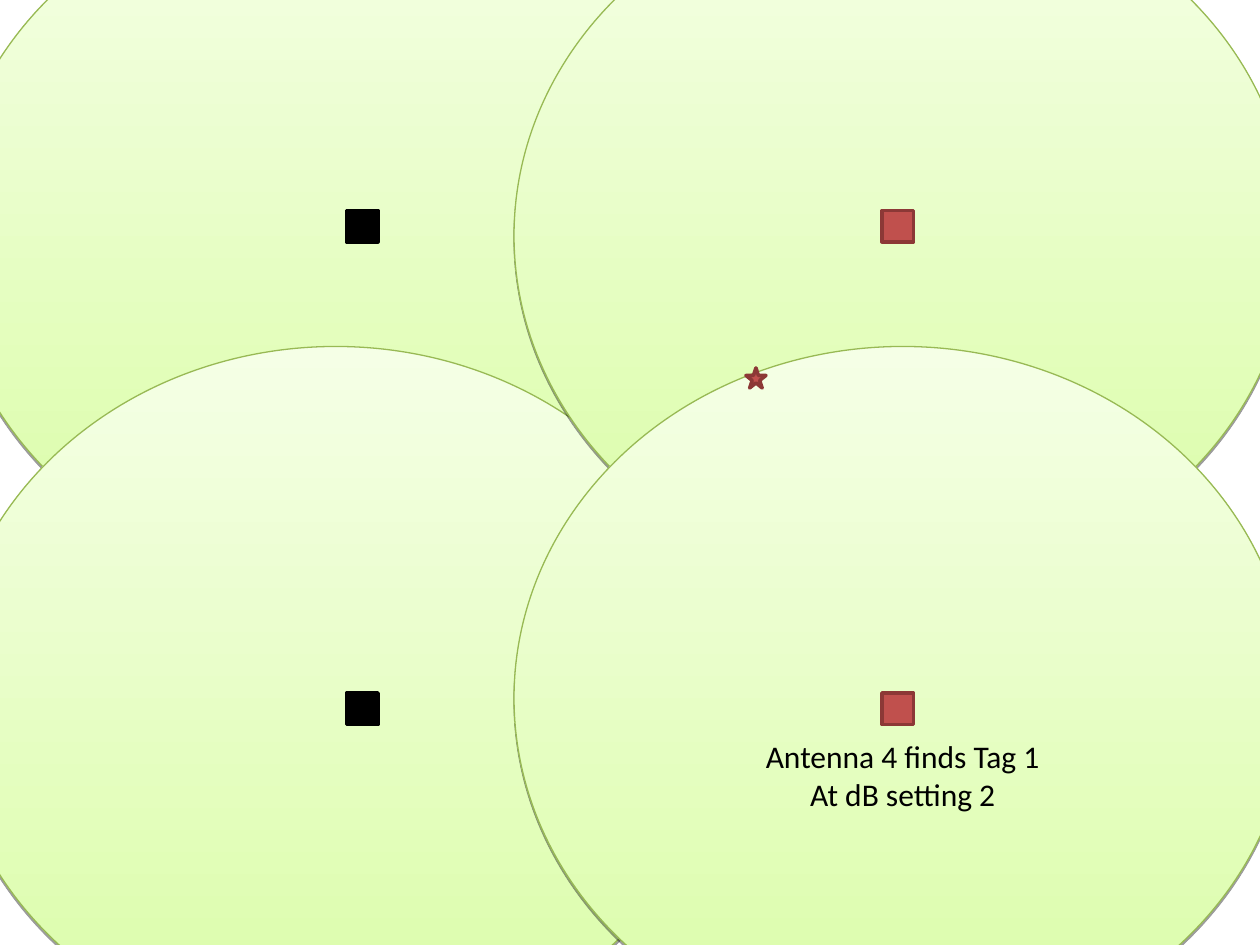
from dataclasses import dataclass
from itertools import product

from lxml import etree
from pptx import Presentation
from pptx.dml.color import RGBColor
from pptx.enum.shapes import MSO_SHAPE
from pptx.enum.text import MSO_ANCHOR, PP_ALIGN
from pptx.oxml.ns import qn
from pptx.util import Inches, Pt

ELLIPSE = MSO_SHAPE.OVAL
SQUARE = MSO_SHAPE.RECTANGLE
MIDDLE = MSO_ANCHOR.MIDDLE
CENTER = PP_ALIGN.CENTER
BLANK_LAYOUT = 6


@dataclass(frozen=True)
class Theme:
    range_bottom: str = "DAFDA7"
    range_top: str = "F5FFE6"
    range_line: str = "98B954"
    idle: str = "000000"
    active: str = "C0504D"
    active_line: str = "8C3836"
    text: str = "000000"
    font: str = "Calibri"
    text_size: int = 18
    range_line_width: float = 0.75
    marker_line_width: float = 2


class AntennaSlide:
    def __init__(self, slide, theme):
        self.slide = slide
        self.theme = theme

    def outline(self, shape, color, width):
        shape.line.color.rgb = RGBColor.from_string(color)
        shape.line.width = Pt(width)

    def style_marker(self, shape, fill, line):
        shape.shadow.inherit = False
        shape.fill.solid()
        shape.fill.fore_color.rgb = RGBColor.from_string(fill)
        self.outline(shape, line, self.theme.marker_line_width)

    def add_shadow(self, shape):
        """Give the shape a thin, sharp shadow straight below it."""
        shape.shadow.inherit = False
        effects = shape._element.spPr.find(qn("a:effectLst"))
        shadow = etree.SubElement(
            effects, qn("a:outerShdw"), blurRad="0", dist=str(Pt(1.6)),
            dir="5400000", rotWithShape="0")
        color = etree.SubElement(shadow, qn("a:srgbClr"), val="000000")
        etree.SubElement(color, qn("a:alpha"), val="38000")

    def add_range(self, left, top, width, height):
        shape = self.slide.shapes.add_shape(
            ELLIPSE, Inches(left), Inches(top), Inches(width), Inches(height))
        shape.fill.gradient()
        shape.fill.gradient_angle = 90
        colors = (self.theme.range_bottom, self.theme.range_top)
        for stop, color, position in zip(shape.fill.gradient_stops, colors, (0, 1)):
            stop.color.rgb = RGBColor.from_string(color)
            stop.position = position
        self.outline(shape, self.theme.range_line, self.theme.range_line_width)
        self.add_shadow(shape)
        return shape

    def add_label(self, shape, lines, top_inset):
        frame = shape.text_frame
        frame.word_wrap = True
        frame.vertical_anchor = MIDDLE
        frame.margin_top = Inches(top_inset)
        for index, line in enumerate(lines):
            paragraph = frame.add_paragraph() if index else frame.paragraphs[0]
            paragraph.alignment = CENTER
            run = paragraph.add_run()
            run.text = line
            run.font.name = self.theme.font
            run.font.size = Pt(self.theme.text_size)
            run.font.color.rgb = RGBColor.from_string(self.theme.text)

    def add_antenna(self, left, top, size, fill, line):
        shape = self.slide.shapes.add_shape(
            SQUARE, Inches(left), Inches(top), Inches(size), Inches(size))
        self.style_marker(shape, fill, line)

    def add_tag(self, center, top):
        """Draw a five-pointed star, mirrored about its vertical axis."""
        right = [(0, 0), (0.02, 0.06), (0.08, 0.06), (0.03, 0.1), (0.05, 0.16), (0, 0.12)]
        left = [(-x, y) for x, y in right[-2:0:-1]]
        points = [(Inches(center + x), Inches(top + y)) for x, y in right + left]
        builder = self.slide.shapes.build_freeform(*points[0])
        builder.add_line_segments(points[1:], close=True)
        self.style_marker(
            builder.convert_to_shape(), self.theme.active, self.theme.active_line)


def main():
    presentation = Presentation()
    presentation.slide_width = Inches(10)
    presentation.slide_height = Inches(7.5)
    slide = presentation.slides.add_slide(presentation.slide_layouts[BLANK_LAYOUT])
    theme = Theme()
    diagram = AntennaSlide(slide, theme)

    for left, top in product((-0.42, 4.08), (-0.92, 2.75)):
        antenna_range = diagram.add_range(left, top, 6.17, 5.58)
    diagram.add_label(
        antenna_range, ("Antenna 4 finds Tag 1", "At dB setting 2"), top_inset=1.27)

    columns = (
        (2.75, theme.idle, theme.idle),
        (7, theme.active, theme.active_line),
    )
    for top, (left, fill, line) in product((1.67, 5.5), columns):
        diagram.add_antenna(left, top, 0.25, fill, line)
    diagram.add_tag(6, 2.92)

    presentation.save("out.pptx")


if __name__ == "__main__":
    main()
